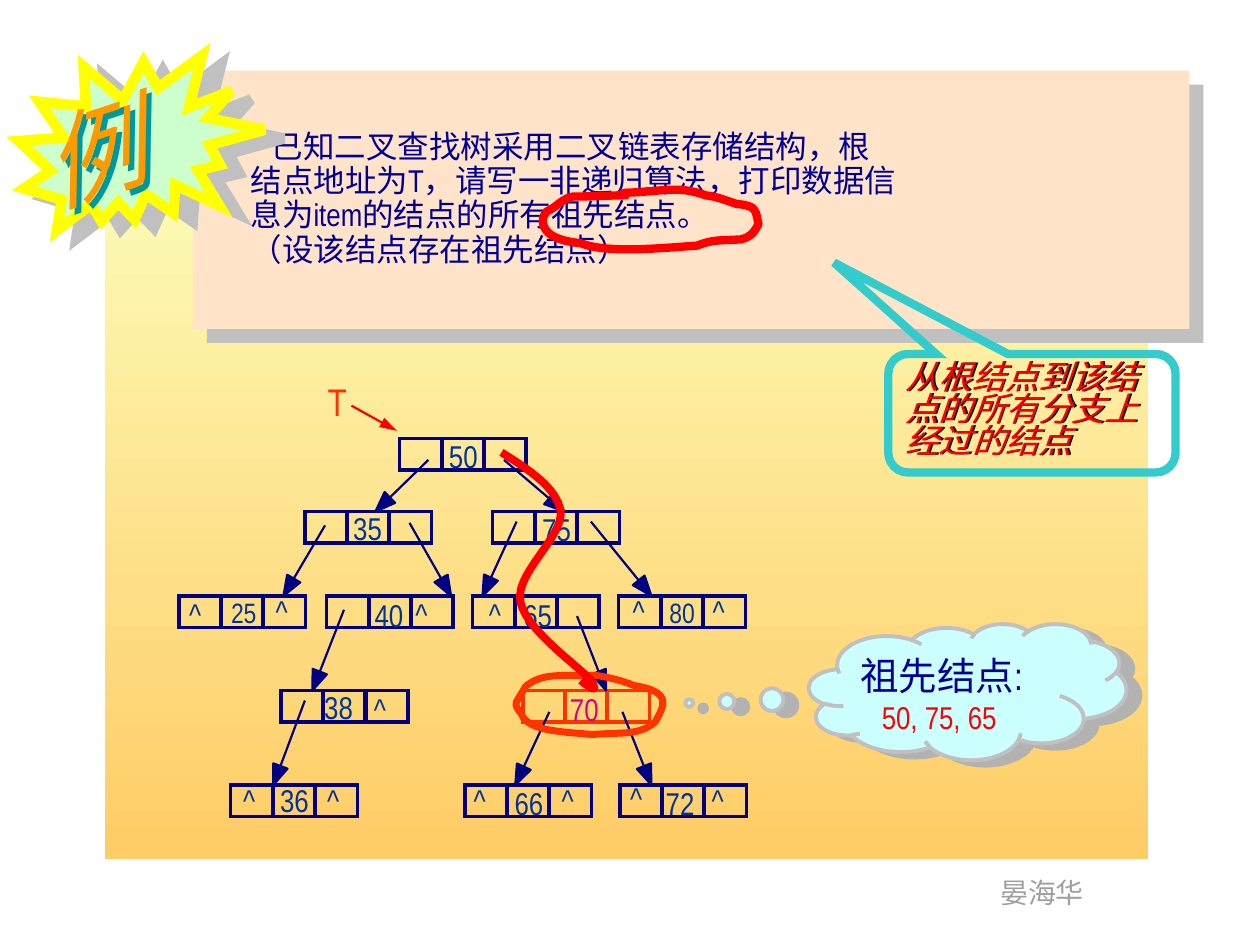
import math

from lxml import etree
from pptx import Presentation
from pptx.dml.color import RGBColor
from pptx.enum.shapes import MSO_CONNECTOR, MSO_SHAPE
from pptx.enum.text import MSO_ANCHOR, MSO_AUTO_SIZE
from pptx.oxml.ns import qn
from pptx.util import Inches, Pt

STRAIGHT = MSO_CONNECTOR.STRAIGHT
RECTANGLE = MSO_SHAPE.RECTANGLE
MIDDLE, TOP = MSO_ANCHOR.MIDDLE, MSO_ANCHOR.TOP
LATIN, CHINESE = "Arial Narrow", "Noto Sans CJK SC"
COLORS = {
    "pale_yellow": "FCFEBC", "amber": "FFCC66", "author": "9F9F9F",
    "dusk_blue": "496DB6", "sky_blue": "6699FF",
    "navy": "000080", "value": "003399", "found": "DC0081", "orange_red": "FF3300",
    "red": "FF0000", "ink": "000099", "peach": "FFE4C9", "silver": "C0C0C0",
    "cloud": "CCFFFF", "cloud_shadow": "B2B2B2", "teal": "33CCCC", "black": "000000",
    "mint": "CCFFCC", "yellow": "FFFF00", "orange": "FF9900", "dark_teal": "009999",
}

# Tree: value -> left, level, then offsets in their cells of value, left and right empty mark
LEVELS = [0, 0.58, 1.25, 2, 2.75]
CELL_STEP, CELL_WIDTH, CELL_HEIGHT = 1 / 3, 0.34, 0.25
NODES = {
    "50": (1.75, 0, (0.06, -0.01), None, None),
    "35": (1, 1, (0.05, -0.02), None, None),
    "75": (2.49, 1, (0.06, -0.01), None, None),
    "25": (0, 2, (0.08, 0), (0.08, -0.01), (0.1, -0.03)),
    "40": (1.17, 2, (0.05, 0), None, (0.04, -0.01)),
    "65": (2.33, 2, (0.07, 0), (0.13, -0.01), None),
    "80": (3.49, 2, (0.07, 0), (0.11, -0.03), (0.08, -0.03)),
    "38": (0.81, 3, (0.01, -0.02), None, (0.07, 0)),
    "70": (2.73, 3, (0.04, 0), None, None),
    "36": (0.41, 4, (0.06, -0.03), (0.1, -0.03), (0.1, -0.03)),
    "66": (2.27, 4, (0.06, -0.01), (0.07, -0.03), (0.1, -0.03)),
    "72": (3.5, 4, (0.03, -0.01), (0.08, -0.05), (0.06, -0.03)),
}
# Parent, child, start within the parent, tip along the child's top
EDGES = [
    ("50", "35", 0.23, 0.17, 0.56), ("50", "75", 0.83, 0.17, 0.57),
    ("35", "25", 0.16, 0.11, 0.83), ("35", "40", 0.83, 0.09, 0.99),
    ("75", "65", 0.19, 0.08, 0.08), ("75", "80", 0.78, 0.08, 0.26),
    ("40", "38", 0.14, 0.11, 0.25), ("65", "70", 0.83, 0.16, 0.66),
    ("38", "36", 0.19, 0.08, 0.34), ("70", "66", 0.21, 0.17, 0.4),
    ("70", "72", 0.79, 0.17, 0.25),
]

# Hand-drawn marks: start point, then the three points of each cubic segment
PHRASE_RING = [
    (0.7, 0.08), (0.55, 0.08), (0.41, 0.09), (0.26, 0.09), (0.19, 0.1), (0.16, 0.14), (0.1, 0.18),
    (0.08, 0.19), (0.05, 0.21), (0.05, 0.21), (0.04, 0.23), (0.02, 0.24), (0.02, 0.26),
    (0, 0.42), (0.22, 0.45), (0.32, 0.46), (0.54, 0.55), (1.04, 0.49), (1.24, 0.48),
    (1.37, 0.43), (1.41, 0.44), (1.59, 0.43), (1.67, 0.41), (1.69, 0.38), (1.73, 0.31),
    (1.72, 0.27), (1.72, 0.23), (1.7, 0.2), (1.68, 0.16), (1.59, 0.15), (1.56, 0.15),
    (1.47, 0.12), (1.4, 0.09), (1.31, 0.08), (1.09, 0), (0.98, 0.05), (0.67, 0.06),
    (0.62, 0.08), (0.64, 0.08), (0.61, 0.08)]
NODE_RING = [
    (0.65, 0.03), (0.39, 0.04), (0.23, 0), (0.09, 0.12), (0.07, 0.16), (0.04, 0.2), (0.02, 0.24),
    (0, 0.27), (0.04, 0.31), (0.06, 0.34), (0.11, 0.48), (0.43, 0.48), (0.62, 0.5),
    (0.87, 0.48), (0.99, 0.51), (1.12, 0.4), (1.2, 0.26), (1.25, 0.16), (0.95, 0.11),
    (0.85, 0.07), (0.77, 0.05), (0.65, 0.03)]
SEARCH_ROUTE = [
    (0, 0), (0.22, 0.14), (0.44, 0.28), (0.47, 0.47), (0.49, 0.67), (0.11, 0.96), (0.15, 1.18),
    (0.19, 1.41), (0.63, 1.71), (0.71, 1.81), (0.78, 1.92), (0.7, 1.87), (0.63, 1.81)]


def rgb(name):
    return RGBColor.from_string(COLORS[name])


def paint(shape, fill=None, line=None, width=1):
    shape.shadow.inherit = False
    if fill:
        shape.fill.solid()
        shape.fill.fore_color.rgb = rgb(fill)
    else:
        shape.fill.background()
    if line:
        shape.line.color.rgb = rgb(line)
        shape.line.width = Pt(width)
    else:
        shape.line.fill.background()


def add_shadow(shape, color, distance, angle):
    shape.shadow.inherit = False
    effects = shape._element.spPr.find(qn("a:effectLst"))
    shadow = etree.SubElement(effects, qn("a:outerShdw"), blurRad="0", dist=str(Pt(distance)),
                              dir=str(angle * 60000), algn="ctr", rotWithShape="0")
    etree.SubElement(shadow, qn("a:srgbClr"), val=COLORS[color])


def add_box(shapes, kind, box, adjustments=(), **style):
    shape = shapes.add_shape(kind, *map(Inches, box))
    for index, value in enumerate(adjustments):
        shape.adjustments[index] = value
    paint(shape, **style)
    if "line" in style:
        etree.SubElement(shape.line._get_or_add_ln(), qn("a:miter"), lim="800000")
    return shape


def add_gradient_box(shapes, box, angle, colors):
    shape = add_box(shapes, RECTANGLE, box)
    shape.fill.gradient()
    shape.fill.gradient_angle = angle
    for stop, position, color in zip(shape.fill.gradient_stops, (0, 1), colors):
        stop.position = position
        stop.color.rgb = rgb(color)


def add_text(shapes, box, lines, inset=(0.1, 0.05), wrap=True, anchor=TOP, spacing=1):
    """Each line is (text, size, color, font, italic, first-line indent)."""
    text_box = shapes.add_textbox(*map(Inches, box))
    frame = text_box.text_frame
    horizontal, vertical = map(Inches, inset)
    settings = {"margin_left": horizontal, "margin_right": horizontal,
                "margin_top": vertical, "margin_bottom": vertical, "word_wrap": wrap,
                "vertical_anchor": anchor, "auto_size": MSO_AUTO_SIZE.SHAPE_TO_FIT_TEXT}
    for name, value in settings.items():
        setattr(frame, name, value)
    for index, (text, size, color, font, italic, indent) in enumerate(lines):
        paragraph = frame.add_paragraph() if index else frame.paragraphs[0]
        paragraph.line_spacing = spacing
        paragraph._p.get_or_add_pPr().set("indent", str(Inches(indent)))
        run = paragraph.add_run()
        run.text = text
        for name, value in {"size": Pt(size), "name": font, "italic": italic}.items():
            setattr(run.font, name, value)
        run.font.color.rgb = rgb(color)
        etree.SubElement(run._r.get_or_add_rPr(), qn("a:ea"), typeface=CHINESE)
    return text_box


def add_outline(shapes, points, close=False, **style):
    points = [(Inches(x), Inches(y)) for x, y in points]
    builder = shapes.build_freeform(*points[0])
    builder.add_line_segments(points[1:], close=close)
    shape = builder.convert_to_shape()
    paint(shape, **style)
    return shape


def add_line(shapes, start, end, color):
    line = shapes.add_connector(STRAIGHT, *map(Inches, (*start, *end)))
    line.line.color.rgb = rgb(color)
    line.line.width = Pt(1.25)
    etree.SubElement(line._element.spPr, qn("a:effectLst"))
    return line


def add_pointer(shapes, start, tip, length=0.16, half_width=0.06):
    distance = math.dist(start, tip)
    dx, dy = (tip[0] - start[0]) / distance, (tip[1] - start[1]) / distance
    x, y = tip[0] - length * dx, tip[1] - length * dy
    add_line(shapes, start, (x, y), "navy")
    head = [(x - half_width * dy, y + half_width * dx), tip,
            (x + half_width * dy, y - half_width * dx)]
    add_outline(shapes, head, close=True, fill="navy", line="navy", width=1.25)


def add_mark(slide, left, top, mark, color, width, close=False):
    points = [(left + x, top + y) for x, y in mark]
    shape = add_outline(slide.shapes, points, line=color, width=width)
    # Turn each three straight segments into one cubic curve
    outline = next(shape._element.iter(qn("a:moveTo"))).getparent()
    segments = outline.findall(qn("a:lnTo"))
    for index in range(0, len(segments), 3):
        curve = etree.SubElement(outline, qn("a:cubicBezTo"))
        for segment in segments[index:index + 3]:
            curve.append(segment[0])
            outline.remove(segment)
    if close:
        etree.SubElement(outline, qn("a:close"))


def add_backdrop(slide, left, top, width, height):
    add_gradient_box(slide.shapes, (left, top, width, height), 270, ("pale_yellow", "amber"))
    add_gradient_box(slide.shapes, (left + 0.01, top - 0.02, width - 0.01, 0.15), 0,
                     ("dusk_blue", "sky_blue"))
    add_text(slide.shapes, (left + 7.01, top + 5.8, 0.87, 0.37),
             [("晏海华", 16, "author", LATIN, False, 0)], wrap=False)


def add_tree(slide, left, top):
    shapes = slide.shapes.add_group_shape().shapes
    corners = {value: (left + node[0], top + LEVELS[node[1]]) for value, node in NODES.items()}
    for value, (x, y) in corners.items():
        found = value == "70"
        for column in range(3):
            add_box(shapes, RECTANGLE, (x + column * CELL_STEP, y, CELL_WIDTH, CELL_HEIGHT),
                    line="orange_red" if found else "navy", width=2)
        size = 16 if value in ("25", "80") else 18
        middle, *ends = NODES[value][2:]
        labels = [(value, 1, middle, 0.25, size, "found" if found else "value")]
        labels += [("^", column, offset, 0.19, 18, "value")
                   for column, offset in zip((0, 2), ends) if offset]
        for text, column, (dx, dy), width, size, color in labels:
            add_text(shapes, (x + column * CELL_STEP + dx, y + dy, width, 0.3),
                     [(text, size, color, LATIN, False, 0)], (0, 0), wrap=False)
    for parent, child, start_x, start_y, tip_x in EDGES:
        (x, y), (child_x, child_y) = corners[parent], corners[child]
        add_pointer(shapes, (x + start_x, y + start_y), (child_x + tip_x, child_y))
    # Root pointer
    add_text(shapes, (left + 1.18, top - 0.48, 0.2, 0.37),
             [("T", 22, "orange_red", LATIN, False, 0)], (0, 0), wrap=False)
    root = add_line(shapes, (left + 1.37, top - 0.26), (left + 1.73, top - 0.06), "red")
    etree.SubElement(root.line._get_or_add_ln(), qn("a:tailEnd"), type="triangle", len="lg")


def add_answer_cloud(slide, left, top, width, height):
    cloud = add_box(slide.shapes, MSO_SHAPE.CLOUD_CALLOUT, (left, top, width, height),
                    (-0.877, 0.083), fill="cloud", line="silver", width=2.25)
    add_shadow(cloud, "cloud_shadow", 8.5, 21)
    add_text(slide.shapes, (left + 0.31, top + 0.12, 2.03, 0.87),
             [("祖先结点:", 22, "ink", LATIN, False, 0),
              ("50, 75, 65", 18, "red", LATIN, False, 0.17)], anchor=MIDDLE)


def add_question(slide, left, top, width, height):
    panel = add_box(slide.shapes, RECTANGLE, (left, top, width, height), fill="peach")
    add_shadow(panel, "silver", 11.3, 45)
    lines = ["已知二叉查找树采用二叉链表存储结构，根", "结点地址为T，请写一非递归算法，打印数据信",
             "息为item的结点的所有祖先结点。", "（设该结点存在祖先结点）"]
    add_text(slide.shapes, (left + 0.36, top + 0.43, 7.67, 1.19),
             [(text, 18, "ink", LATIN, False, 0 if index else 0.17)
              for index, text in enumerate(lines)], anchor=MIDDLE, spacing=0.9)


def add_explanation(slide, left, top, width, height):
    add_box(slide.shapes, MSO_SHAPE.ROUNDED_RECTANGULAR_CALLOUT, (left, top, width, height),
            (-0.689, -1.272, 0.167), line="teal", width=4.75)
    text_box = add_text(slide.shapes, (left + 0.04, top + 0.03, 2.69, 0.86),
                        [(text, 19, "red", CHINESE, True, 0)
                         for text in ("从根结点到该结", "点的所有分支上", "经过的结点")],
                        anchor=MIDDLE, spacing=0.8)
    add_shadow(text_box, "black", 1, 0)


def add_badge(slide, left, top, width, height):
    star = add_box(slide.shapes, MSO_SHAPE.EXPLOSION2, (left, top, width, height),
                   fill="mint", line="yellow", width=6)
    star.rotation = 10.9
    add_shadow(star, "silver", 12.1, 24)
    text_box = add_text(slide.shapes, (left + 0.04, top + 0.11, 2.3, 1.07),
                        [("例", 58, "orange", CHINESE, True, 0)])
    text_box.rotation = 341.9
    add_shadow(text_box, "dark_teal", 4, 45)


def main():
    presentation = Presentation()
    presentation.slide_width, presentation.slide_height = Inches(10), Inches(7.5)
    slide = presentation.slides.add_slide(presentation.slide_layouts[6])
    add_backdrop(slide, 0.83, 1.1, 8.28, 5.72)
    add_tree(slide, 1.42, 3.48)
    add_answer_cloud(slide, 6.42, 4.95, 2.52, 1.08)
    add_question(slide, 1.53, 0.56, 7.91, 2.05)
    add_explanation(slide, 7.05, 2.81, 2.28, 0.94)
    add_mark(slide, 4.29, 1.47, PHRASE_RING, "red", 4.75)
    add_mark(slide, 4.08, 5.33, NODE_RING, "orange_red", 4, close=True)
    add_mark(slide, 3.98, 3.59, SEARCH_ROUTE, "red", 4.5)
    add_badge(slide, 0.16, 0.36, 1.9, 1.58)
    presentation.save("out.pptx")


if __name__ == "__main__":
    main()
